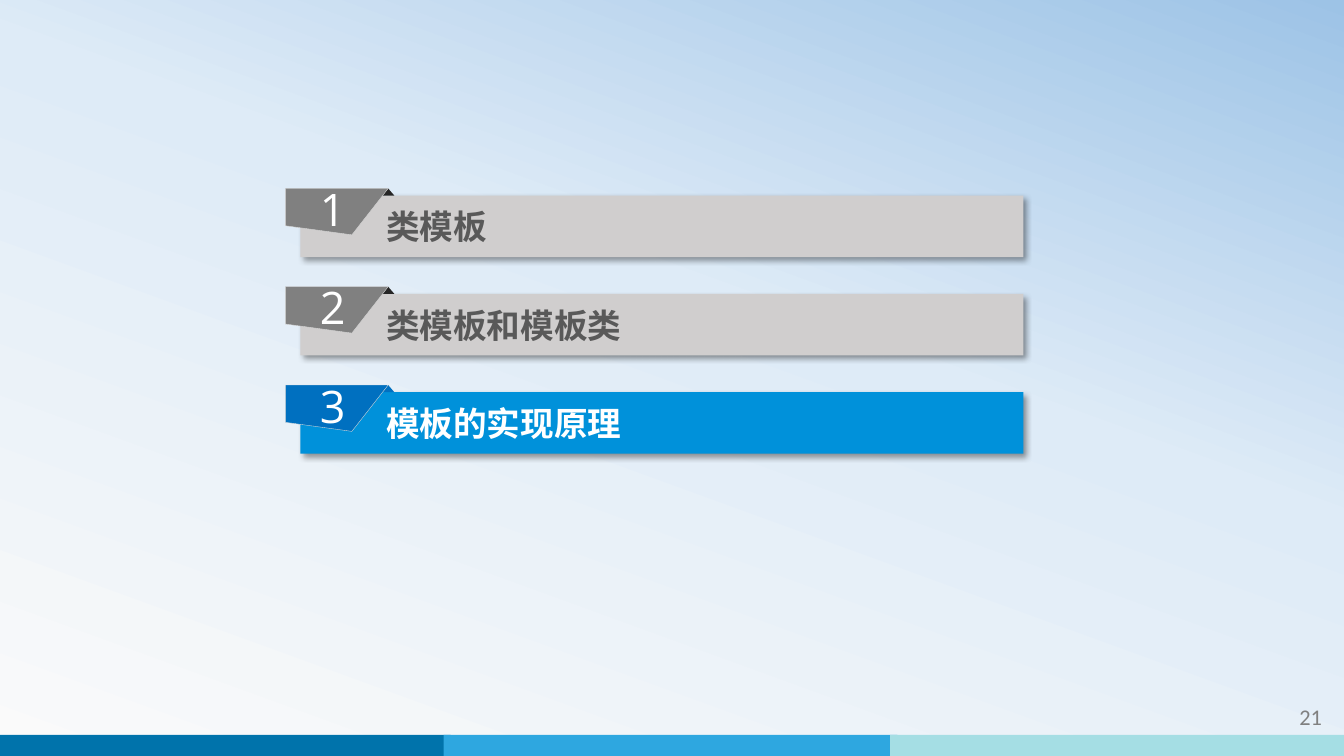
from copy import deepcopy

from lxml.etree import SubElement
from pptx import Presentation
from pptx.dml.color import RGBColor
from pptx.enum.shapes import MSO_SHAPE as Preset
from pptx.enum.text import MSO_ANCHOR as Anchor, PP_ALIGN as Align
from pptx.oxml.ns import qn
from pptx.util import Inches, Pt

COLORS = {
    "sky_low": "FAFAFA", "sky_mid": "DEEBF7", "sky_high": "9DC3E6",
    "strip_dark": "0073AB", "strip_mid": "2EA7E0", "strip_light": "A5DEE4",
    "bar": "D0CECE", "bar_text": "595959", "tab": "808080", "fold": "262626",
    "active_bar": "0091DA", "active_tab": "0070C0",
    "tab_edge": "D9D9D9", "white": "FFFFFF", "page": "808080", "shadow": "000000",
}
CHAPTERS = ["类模板", "类模板和模板类", "模板的实现原理"]
ACTIVE = 3
FIRST_TOP = 1.94
ROW_PITCH = 1.95 / 2


def rgb(name):
    return RGBColor.from_string(COLORS[name])


def write_text(shape, text, font, size, color, bold=False, align=Align.LEFT,
               insets=(0.1, 0.05, 0.1, 0.05)):
    frame = shape.text_frame
    frame.word_wrap = True
    frame.vertical_anchor = Anchor.MIDDLE
    (frame.margin_left, frame.margin_top,
     frame.margin_right, frame.margin_bottom) = map(Inches, insets)
    paragraph = frame.paragraphs[0]
    paragraph.alignment = align
    run = paragraph.add_run()
    run.text = text
    run.font.name = font
    run.font.size = Pt(size)
    run.font.bold = bold
    run.font.color.rgb = rgb(color)
    SubElement(run.font._element, qn("a:ea"), typeface=font)


def add_block(slide, preset, left, top, width, height, color):
    block = slide.shapes.add_shape(
        preset, Inches(left), Inches(top), Inches(width), Inches(height))
    block.shadow.inherit = False
    block.fill.solid()
    block.fill.fore_color.rgb = rgb(color)
    block.line.fill.background()
    return block


def cast_shadow(shape):
    effects = shape._element.spPr.find(qn("a:effectLst"))
    shadow = SubElement(effects, qn("a:outerShdw"), blurRad=str(Pt(4)),
                        dist=str(Pt(3)), dir=str(45 * 60000),
                        algn="tl", rotWithShape="0")
    tint = SubElement(shadow, qn("a:srgbClr"), val=COLORS["shadow"])
    SubElement(tint, qn("a:alpha"), val="40000")


def paint_background(slide):
    fill = slide.background.fill
    fill.gradient()
    fill.gradient_angle = 70
    stop_list = slide._element.find(".//" + qn("a:gsLst"))
    stop_list.append(deepcopy(stop_list[0]))
    sky = [(0, "sky_low"), (0.58, "sky_mid"), (1, "sky_high")]
    for stop, (position, color) in zip(fill.gradient_stops, sky):
        stop.position = position
        stop.color.rgb = rgb(color)


def add_footer(slide):
    for i, color in enumerate(["strip_dark", "strip_mid", "strip_light"]):
        add_block(slide, Preset.RECTANGLE, 4.43 * i - 0.03, 7.29, 4.5, 0.21, color)
    page = slide.shapes.add_textbox(Inches(11.62), Inches(6.91), Inches(1.59), Inches(0.4))
    write_text(page, "21", "Calibri", 16, "page", align=Align.RIGHT)


def add_number_tab(slide, number, top, color):
    corners = [(Inches(x), Inches(top + y)) for x, y in
               [(2.83, 0), (3.85, 0), (3.49, 0.46), (2.83, 0.37)]]
    outline = slide.shapes.build_freeform(*corners[0])
    outline.add_line_segments(corners[1:], close=True)
    tab = outline.convert_to_shape()
    tab.shadow.inherit = False
    tab.fill.solid()
    tab.fill.fore_color.rgb = rgb(color)
    tab.line.color.rgb = rgb("tab_edge")
    tab.line.width = Pt(0.25)
    write_text(tab, str(number), "Open Sans", 32, "white", align=Align.CENTER,
               insets=(0.09, 0.04, 0.17, 0.1))


def add_chapter(slide, number, title):
    if number == ACTIVE:
        bar_color, text_color, tab_color, fold_color = (
            "active_bar", "white", "active_tab", "active_tab")
    else:
        bar_color, text_color, tab_color, fold_color = "bar", "bar_text", "tab", "fold"
    top = FIRST_TOP + (number - 1) * ROW_PITCH
    bar = add_block(slide, Preset.RECTANGLE, 2.98, top, 7.17, 0.61, bar_color)
    cast_shadow(bar)
    write_text(bar, title, "Noto Sans CJK SC", 24, text_color, bold=True,
               insets=(0.85, 0.05, 0.1, 0.05))
    # Folded corner behind the number tab
    add_block(slide, Preset.ISOSCELES_TRIANGLE, 3.79, top - 0.07, 0.12, 0.07, fold_color)
    add_number_tab(slide, number, top - 0.07, tab_color)


def main():
    deck = Presentation()
    deck.slide_width, deck.slide_height = Inches(13.33), Inches(7.5)
    slide = deck.slides.add_slide(deck.slide_layouts[6])

    # Backdrop and footer
    paint_background(slide)
    add_footer(slide)

    # Chapter list
    for number, title in enumerate(CHAPTERS, start=1):
        add_chapter(slide, number, title)

    deck.save("out.pptx")


if __name__ == "__main__":
    main()
